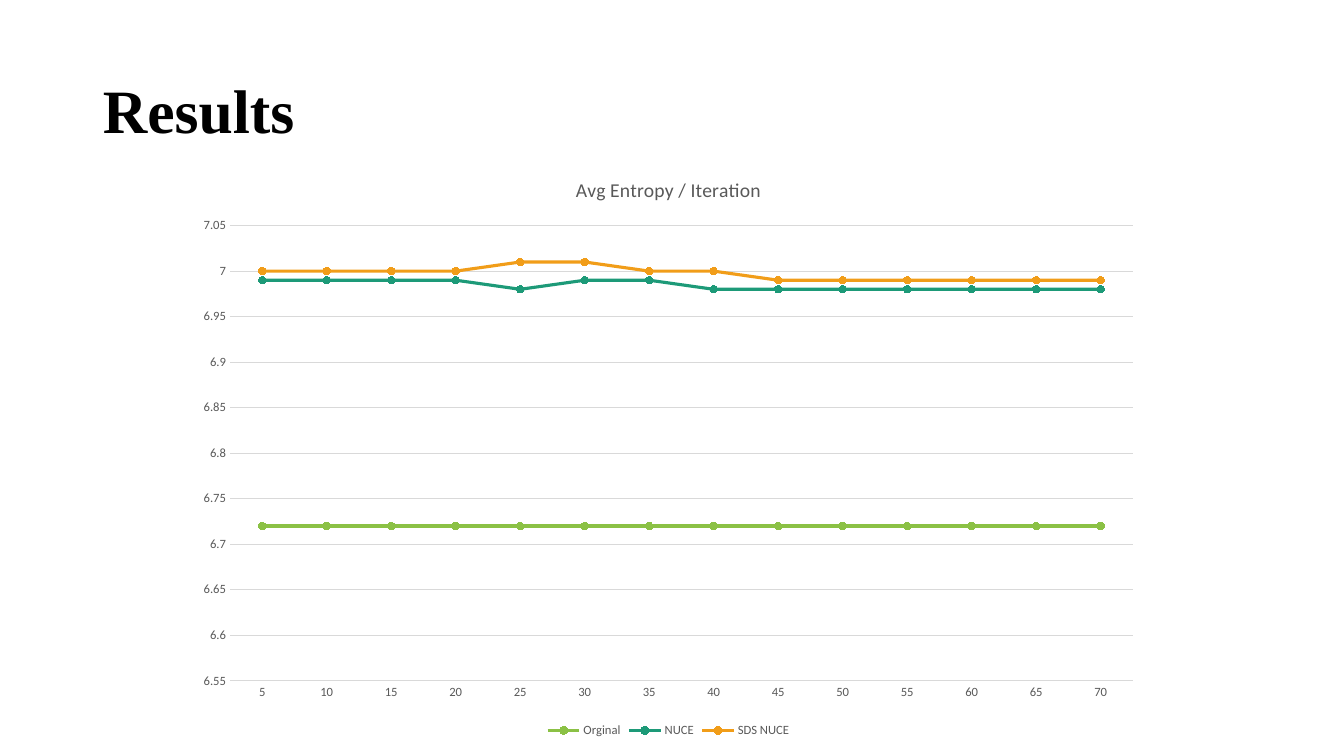
from dataclasses import dataclass

from lxml import etree
from pptx import Presentation
from pptx.chart.data import CategoryChartData
from pptx.dml.color import RGBColor
from pptx.enum.chart import (XL_CHART_TYPE as ChartType, XL_LEGEND_POSITION as LegendPosition,
                             XL_MARKER_STYLE as MarkerStyle, XL_TICK_MARK as TickMark)
from pptx.enum.text import MSO_ANCHOR as Anchor, MSO_AUTO_SIZE as AutoSize, PP_ALIGN as Align
from pptx.oxml.ns import qn
from pptx.util import Inches, Pt


@dataclass(frozen=True)
class Theme:
    """Colours, fonts and sizes of the slide."""
    ink: str = "000000"
    label: str = "595959"
    rule: str = "D9D9D9"
    series: tuple = ("8BC145", "1D9A78", "F19D19")
    heading_font: str = "Times New Roman"
    chart_font: str = "Calibri"
    title_size: float = 44
    chart_title_size: float = 14
    label_size: float = 9
    rule_width: float = 0.75
    series_width: float = 2.25
    marker_size: int = 5


ITERATIONS = [str(step) for step in range(5, 71, 5)]
ENTROPY = {
    "Orginal": [6.72] * 14,
    "NUCE": [6.99] * 4 + [6.98] + [6.99] * 2 + [6.98] * 7,
    "SDS NUCE": [7.0] * 4 + [7.01] * 2 + [7.0] * 2 + [6.99] * 6,
}


def format_font(font, name, size, color, bold=False):
    """Set the typeface, size, colour and weight of a font."""
    font.name, font.size, font.bold = name, Pt(size), bold
    font.color.rgb = RGBColor.from_string(color)


def write_text(frame, text, align=Align.LEFT, line_spacing=None, **font_format):
    """Put one formatted paragraph into a text frame."""
    paragraph = frame.paragraphs[0]
    paragraph.alignment = align
    paragraph.line_spacing = line_spacing
    run = paragraph.add_run()
    run.text = text
    format_font(run.font, **font_format)


def format_line(line, color, width):
    """Give a line a solid colour and a width in points."""
    line.color.rgb = RGBColor.from_string(color)
    line.width = Pt(width)


def place_plot(chart, **fractions):
    """Fix the inner plot area as fractions of the chart."""
    plot_area = chart._chartSpace.chart.plotArea
    for old_layout in plot_area.findall(qn("c:layout")):
        plot_area.remove(old_layout)
    layout = etree.Element(qn("c:layout"))
    plot_area.insert(0, layout)
    manual = etree.SubElement(layout, qn("c:manualLayout"))
    settings = {"layoutTarget": "inner", "xMode": "edge", "yMode": "edge", **fractions}
    for tag, value in settings.items():
        etree.SubElement(manual, qn(f"c:{tag}")).set("val", str(value))


class SlideBuilder:
    """Holds the theme and the current slide."""

    def __init__(self, slide, theme):
        """Keep the slide and its theme."""
        self.slide, self.theme = slide, theme

    def title(self, text, left, top, width, height):
        """Move, fill and format the title placeholder."""
        theme, shape = self.theme, self.slide.shapes.title
        shape.left, shape.top = Inches(left), Inches(top)
        shape.width, shape.height = Inches(width), Inches(height)
        frame = shape.text_frame
        frame.word_wrap, frame.auto_size = True, AutoSize.NONE
        frame.vertical_anchor = Anchor.MIDDLE
        write_text(frame, text, line_spacing=0.9, name=theme.heading_font,
                   size=theme.title_size, color=theme.ink, bold=True)

    def line_chart(self, title, categories, series, left, top, width, height):
        """Add a line chart with markers, a title and a legend below."""
        theme, data = self.theme, CategoryChartData()
        data.categories = categories
        for name, values in series.items():
            data.add_series(name, values)
        chart = self.slide.shapes.add_chart(
            ChartType.LINE_MARKERS, Inches(left), Inches(top),
            Inches(width), Inches(height), data).chart
        label_format = {"name": theme.chart_font, "size": theme.label_size, "color": theme.label}
        format_font(chart.font, **label_format)
        write_text(chart.chart_title.text_frame, title, align=Align.CENTER,
                   **{**label_format, "size": theme.chart_title_size})
        chart.chart_title.include_in_layout = False
        chart.has_legend = True
        chart.legend.position = LegendPosition.BOTTOM
        chart.legend.include_in_layout = False
        format_font(chart.legend.font, **label_format)
        place_plot(chart, x=0.047, y=0.12, w=0.933, h=0.776)
        self.axes(chart, label_format)
        chart.plots[0].vary_by_categories = False
        for line_series, color in zip(chart.plots[0].series, theme.series):
            self.line_series(line_series, color)

    def axes(self, chart, label_format):
        """Format both axes and the horizontal gridlines."""
        theme, values = self.theme, chart.value_axis
        for axis in (chart.category_axis, values):
            axis.major_tick_mark = axis.minor_tick_mark = TickMark.NONE
            format_font(axis.tick_labels.font, **label_format)
        format_line(chart.category_axis.format.line, theme.rule, theme.rule_width)
        values.format.line.fill.background()
        format_line(values.major_gridlines.format.line, theme.rule, theme.rule_width)
        values.minimum_scale, values.maximum_scale, values.major_unit = 6.55, 7.05, 0.05
        values.tick_labels.number_format = "General"
        values.tick_labels.number_format_is_linked = False

    def line_series(self, series, color):
        """Colour one series and its round markers."""
        theme, marker = self.theme, series.marker
        series.smooth = False
        format_line(series.format.line, color, theme.series_width)
        marker.style, marker.size = MarkerStyle.CIRCLE, theme.marker_size
        marker.format.fill.solid()
        marker.format.fill.fore_color.rgb = RGBColor.from_string(color)
        format_line(marker.format.line, color, theme.rule_width)


def main():
    """Build the results slide and save it."""
    presentation = Presentation()
    presentation.slide_width, presentation.slide_height = Inches(13.33), Inches(7.5)
    title_only = presentation.slide_layouts.get_by_name("Title Only")
    builder = SlideBuilder(presentation.slides.add_slide(title_only), Theme())
    builder.title("Results", 0.92, 0.4, 11.5, 1.45)
    builder.line_chart("Avg Entropy / Iteration", ITERATIONS, ENTROPY, 1.83, 1.54, 9.6, 5.82)
    presentation.save("out.pptx")


main()
